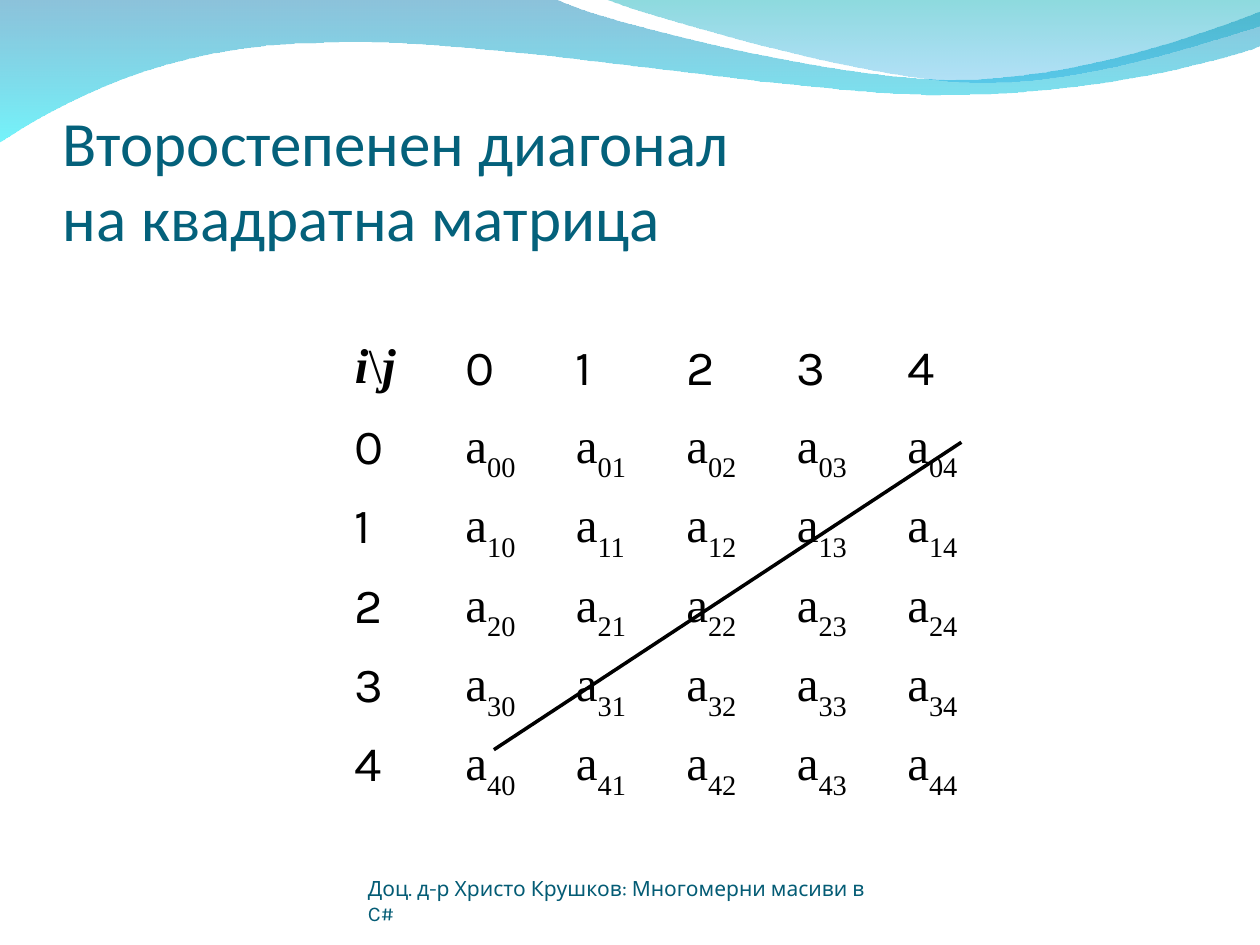
import pptx
import pptx.dml.color
import pptx.enum.shapes
import pptx.enum.text
import pptx.oxml
import pptx.oxml.ns
import pptx.util
from pptx.oxml.ns import nsdecls, qn
from pptx.util import Inches

COLORS = {
    "title": "04617B",
    "footer": "045C75",
    "ink": "000000",
    "wave_blue": "0079AF",
    "wave_cyan": "00EBF8",
    "crest_teal": "00ADB6",
    "crest_blue": "009BE5",
}
MATRIX_SIZE = 5
TABLE_ROWS, TABLE_COLUMNS = 9, 7
TABLE_WIDTH, TABLE_HEIGHT = 6.14, 4.97

# Each step lists its points: one for a straight line, three for a cubic curve.
WAVE = [
    [(0, -0.01)],
    [(4.4, -0.01)],
    [(4.76, 0.17), (6.64, 0.63), (7.58, 0.63)],
    [(8.53, 0.63), (9.58, 0.26), (10, 0.09)],
    [(10.01, 0.36)],
    [(9.83, 0.44), (8.7, 0.76), (7.46, 0.75)],
    [(6.22, 0.75), (3.82, 0.28), (2.57, 0.34)],
    [(1.29, 0.35), (0.46, 0.83), (-0.01, 1.13)],
]
CREST = [
    [(4.79, -0.01)],
    [(5.09, 0.11), (6.82, 0.62), (7.69, 0.65)],
    [(8.56, 0.69), (9.61, 0.32), (10, 0.21)],
    [(10, 0)],
]


def rgb(name):
    return pptx.dml.color.RGBColor.from_string(COLORS[name])


def bend_segments(band, steps, height):
    """Turn the straight segments of the three-point steps into cubic curves."""
    outline = next(band.element.spPr.iter(qn("a:path")))
    for segment, step in zip(outline.findall(qn("a:lnTo")), steps[1:]):
        if len(step) == 3:
            points = "".join(
                f'<a:pt x="{Inches(x) - band.left}" y="{Inches(y) - band.top}"/>'
                for x, y in step)
            curve = pptx.oxml.parse_xml(
                f'<a:cubicBezTo {nsdecls("a")}>{points}</a:cubicBezTo>')
            outline.replace(segment, curve)
    band.height = Inches(height)
    outline.set("h", str(Inches(height)))


def add_band(slide, steps, height, stops):
    """Add a curved band; stops are (colour name, opacity percent), top to bottom."""
    corners = [(Inches(x), Inches(y)) for x, y in (step[-1] for step in steps)]
    builder = slide.shapes.build_freeform(*corners[0], scale=1.0)
    builder.add_line_segments(corners[1:], close=True)
    band = builder.convert_to_shape()
    bend_segments(band, steps, height)
    band.shadow.inherit = False
    band.line.fill.background()
    band.fill.gradient()
    band.fill.gradient_angle = 270
    for position, (stop, (color, _)) in enumerate(zip(band.fill.gradient_stops, stops)):
        stop.position = position
        stop.color.rgb = rgb(color)
    gradient_colors = band.element.spPr.iter(qn("a:srgbClr"))
    for color_element, (_, opacity) in zip(gradient_colors, stops):
        color_element.append(pptx.oxml.parse_xml(
            f'<a:alpha {nsdecls("a")} val="{opacity * 1000}"/>'))


def style(font, name, size, color):
    font.name = name
    font.size = pptx.util.Pt(size)
    font.color.rgb = rgb(color)


def add_text(slide, text, box, top_inset, font_name, size, color):
    textbox = slide.shapes.add_textbox(*map(Inches, box))
    frame = textbox.text_frame
    frame.word_wrap = True
    frame.vertical_anchor = pptx.enum.text.MSO_ANCHOR.BOTTOM
    frame.margin_left = frame.margin_right = frame.margin_bottom = 0
    frame.margin_top = Inches(top_inset)
    paragraph = frame.paragraphs[0]
    paragraph.text = text
    style(paragraph.font, font_name, size, color)


def write_index(cell, index):
    paragraph = cell.text_frame.paragraphs[0]
    paragraph.text = str(index)
    paragraph.space_before = pptx.util.Pt(7)
    style(paragraph.font, "Karla", 28, "ink")


def start_serif(cell):
    paragraph = cell.text_frame.paragraphs[0]
    paragraph.alignment = pptx.enum.text.PP_ALIGN.JUSTIFY
    style(paragraph.font, "Times New Roman", 28, "ink")
    return paragraph


def add_run(paragraph, text):
    run = paragraph.add_run()
    run.text = text
    return run


def write_corner(cell):
    paragraph = start_serif(cell)
    for text in ("i", "\\", "j"):
        run = add_run(paragraph, text)
        run.font.bold = run.font.italic = text != "\\"


def write_element(cell, i, j):
    paragraph = start_serif(cell)
    add_run(paragraph, "а")
    subscript = add_run(paragraph, f"{i}{j}")
    subscript._r.get_or_add_rPr().set("baseline", "-30000")


def add_matrix(slide):
    frame = slide.shapes.add_table(
        TABLE_ROWS, TABLE_COLUMNS,
        Inches(1.84), Inches(2.02), Inches(TABLE_WIDTH), Inches(TABLE_HEIGHT))
    table = frame.table
    table.first_row = table.horz_banding = False
    for row in table.rows:
        row.height = Inches(0.63)
    table.rows[TABLE_ROWS - 1].height = Inches(0.48)
    frame.height = Inches(TABLE_HEIGHT)
    for cell in table.iter_cells():
        cell.fill.background()

    write_corner(table.cell(1, 1))
    for i in range(MATRIX_SIZE):
        write_index(table.cell(1, i + 2), i)
        write_index(table.cell(i + 2, 1), i)
        for j in range(MATRIX_SIZE):
            write_element(table.cell(i + 2, j + 2), i, j)


def add_diagonal(slide):
    diagonal = slide.shapes.add_connector(
        pptx.enum.shapes.MSO_CONNECTOR.STRAIGHT,
        Inches(7.63), Inches(3.51), Inches(3.92), Inches(5.95))
    diagonal.line.color.rgb = rgb("ink")
    diagonal.line.width = pptx.util.Pt(2)
    diagonal.element.spPr.append(
        pptx.oxml.parse_xml(f'<a:effectLst {nsdecls("a")}/>'))


def main():
    presentation = pptx.Presentation()
    presentation.slide_width = Inches(10)
    presentation.slide_height = Inches(7.5)
    slide = presentation.slides.add_slide(presentation.slide_layouts[6])

    add_band(slide, WAVE, 1.14, [("wave_blue", 45), ("wave_cyan", 55)])
    add_band(slide, CREST, 0.7, [("crest_teal", 45), ("crest_blue", 30)])
    add_matrix(slide)
    add_text(slide, "Второстепенен диагонал \vна квадратна матрица",
             (0.5, 0.77, 9, 1.25), 0.05, "Calibri", 36, "title")
    add_text(slide, "Доц. д-р Христо Крушков: Многомерни масиви в C#",
             (2.92, 6.95, 4.19, 0.4), 0, "Karla", 12, "footer")
    add_diagonal(slide)
    presentation.save("out.pptx")


if __name__ == "__main__":
    main()
